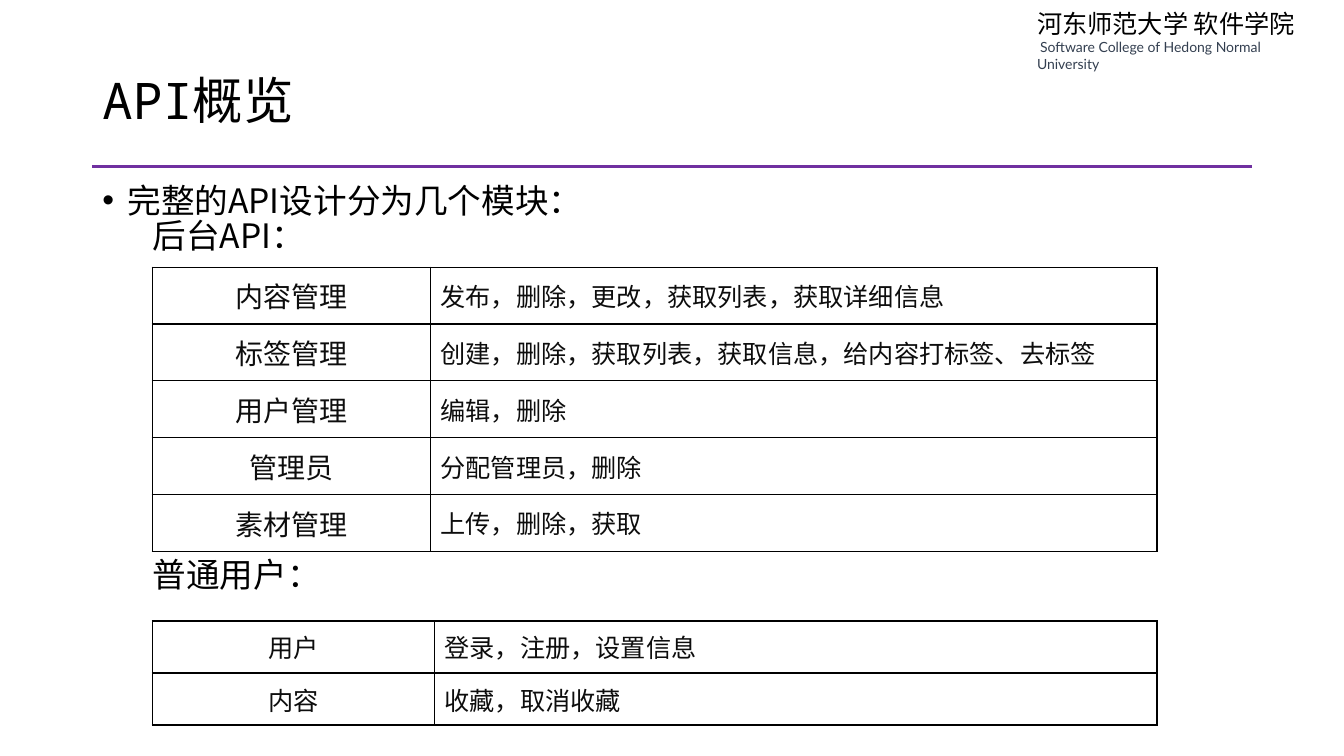
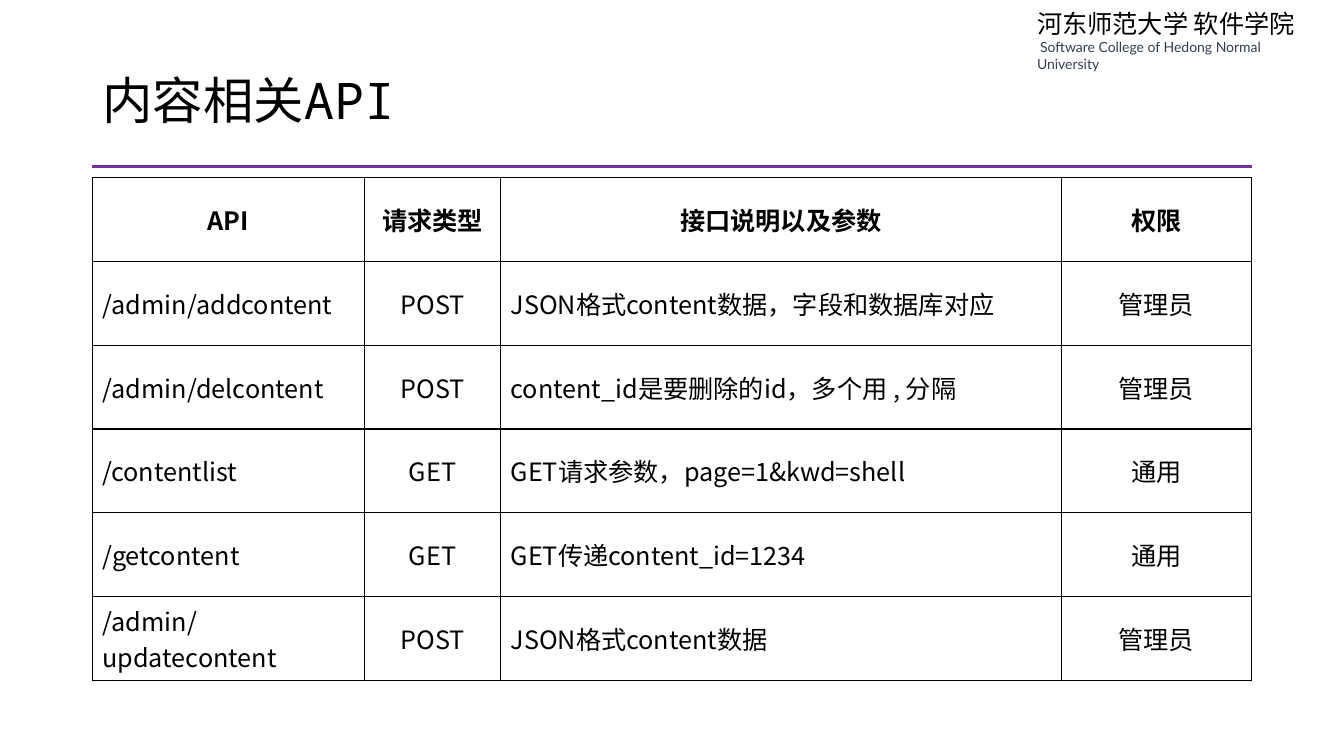
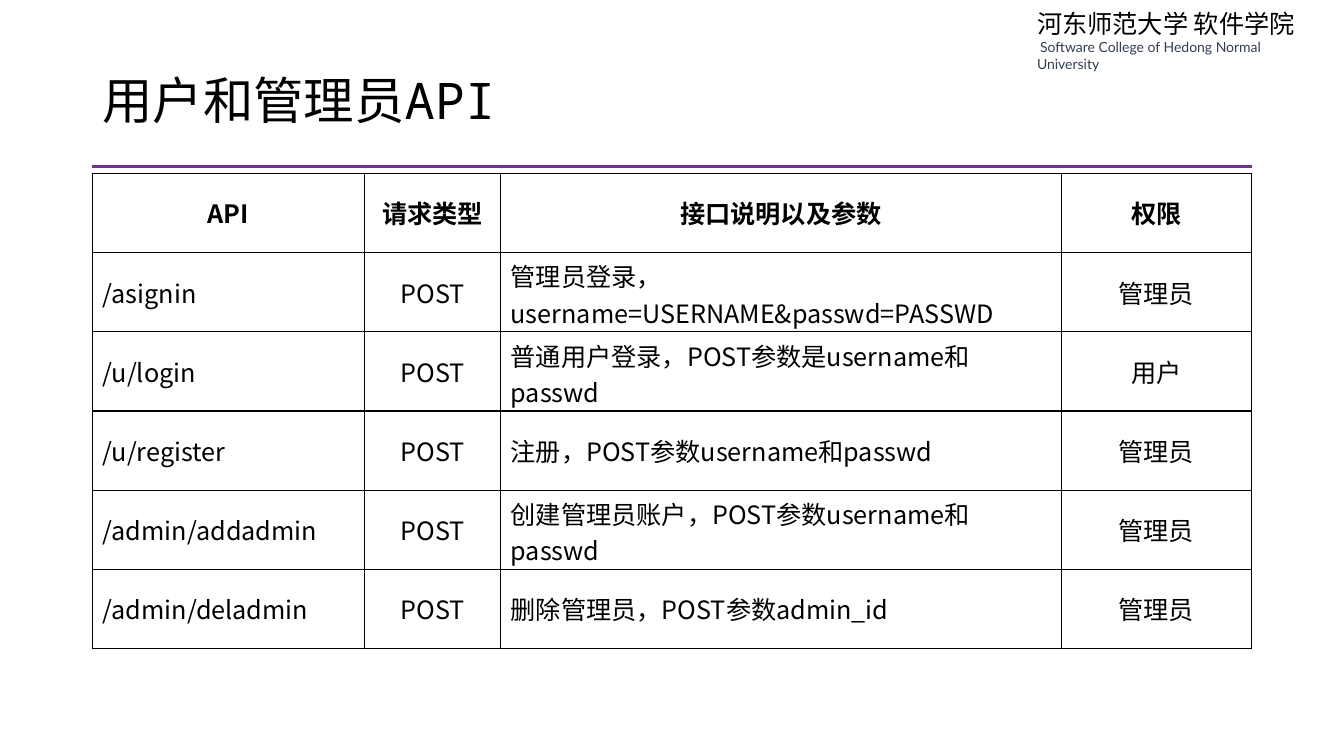
from lxml import etree
from pptx import Presentation
from pptx.dml.color import RGBColor
from pptx.enum.shapes import MSO_CONNECTOR
from pptx.enum.text import MSO_ANCHOR, PP_ALIGN
from pptx.oxml.ns import qn
from pptx.util import Pt

LINE = MSO_CONNECTOR.STRAIGHT
TOP, MIDDLE = MSO_ANCHOR.TOP, MSO_ANCHOR.MIDDLE
LEFT, CENTER = PP_ALIGN.LEFT, PP_ALIGN.CENTER

BLACK = RGBColor(0x00, 0x00, 0x00)
INK = RGBColor(0x0D, 0x0D, 0x0D)
SLATE = RGBColor(0x33, 0x3F, 0x50)
PURPLE = RGBColor(0x70, 0x30, 0xA0)

SANS, HEAD, MONO, LATO = "Noto Sans CJK SC", "Noto Sans CJK JP", "Noto Sans Mono", "Lato"

EDGE, WIDE = 66, 828
COLS = (194.4, 97.2, 400.4, 136)

SCHOOL = "河东师范大学 软件学院"
SCHOOL_EN = "Software College of Hedong Normal University"

# text, bullet, left indent, space before
POINTS = [
    ("完整的API设计分为几个模块：", True, 18, 0),
    ("后台API：", False, 36, 2.5),
    ("普通用户：", False, 36, 219),
]
ADMIN = [
    ("内容管理", "发布，删除，更改，获取列表，获取详细信息"),
    ("标签管理", "创建，删除，获取列表，获取信息，给内容打标签、去标签"),
    ("用户管理", "编辑，删除"),
    ("管理员", "分配管理员，删除"),
    ("素材管理", "上传，删除，获取"),
]
USER = [("用户", "登录，注册，设置信息"), ("内容", "收藏，取消收藏")]

FIELDS = ("API", "请求类型", "接口说明以及参数", "权限")
CONTENT = [
    ("/admin/addcontent", "POST", "JSON格式content数据，字段和数据库对应", "管理员"),
    ("/admin/delcontent", "POST", "content_id是要删除的id，多个用 , 分隔", "管理员"),
    ("/contentlist", "GET", "GET请求参数，page=1&kwd=shell", "通用"),
    ("/getcontent", "GET", "GET传递content_id=1234", "通用"),
    ("/admin/updatecontent", "POST", "JSON格式content数据", "管理员"),
]
ACCOUNT = [
    ("/asignin", "POST", "管理员登录，username=USERNAME&passwd=PASSWD", "管理员"),
    ("/u/login", "POST", "普通用户登录，POST参数是username和passwd", "用户"),
    ("/u/register", "POST", "注册，POST参数username和passwd", "管理员"),
    ("/admin/addadmin", "POST", "创建管理员账户，POST参数username和passwd", "管理员"),
    ("/admin/deladmin", "POST", "删除管理员，POST参数admin_id", "管理员"),
]


def add_run(para, text, size, font=SANS, color=BLACK, bold=False):
    """Append one run, with its font set for Latin and Chinese text."""
    run = para.add_run()
    run.text = text
    run.font.size = Pt(size)
    run.font.name = font
    run.font.bold = bold
    run.font.color.rgb = color
    props = run.font._element
    east = etree.Element(qn("a:ea"), typeface=font)
    props.find(qn("a:latin")).addnext(east)


def add_box(slide, left, top, width, height):
    """Add a wrapping text box and return its text frame."""
    frame = slide.shapes.add_textbox(Pt(left), Pt(top), Pt(width), Pt(height)).text_frame
    frame.word_wrap = True
    frame.vertical_anchor = TOP
    return frame


def add_page(deck, title):
    """Add a slide with the school name, the purple rule and a title."""
    slide = deck.slides.add_slide(deck.slide_layouts[6])
    name = add_box(slide, 733.7, 2.2, 216.7, 41)
    add_run(name.paragraphs[0], SCHOOL, 18, HEAD)
    second = name.add_paragraph()
    add_run(second, " ", 10, HEAD)
    add_run(second, SCHOOL_EN, 10, LATO, SLATE)

    rule = slide.shapes.add_connector(LINE, Pt(EDGE), Pt(118.8), Pt(EDGE + WIDE), Pt(118.8))
    rule.line.color.rgb = PURPLE
    rule.line.width = Pt(2.25)
    etree.SubElement(rule._element.spPr, qn("a:effectLst"))

    para = add_box(slide, EDGE, 54, WIDE, 58.3).paragraphs[0]
    para.line_spacing = 0.8
    add_run(para, title, 36, MONO)
    return slide


def add_points(slide, points):
    """Add the body text with its bullet and indents."""
    frame = add_box(slide, EDGE, 130.3, WIDE, 381.6)
    for i, (text, dot, indent, gap) in enumerate(points):
        para = frame.add_paragraph() if i else frame.paragraphs[0]
        para.line_spacing = 0.8
        para.space_before = Pt(gap)
        props = para._p.get_or_add_pPr()
        props.set("marL", str(Pt(indent)))
        if dot:
            props.set("indent", str(-Pt(indent)))
            etree.SubElement(props, qn("a:buFont"), typeface="Arial")
            etree.SubElement(props, qn("a:buChar"), char="•")
        add_run(para, text, 24)


def add_frame(cell):
    """Draw a thin black border on all four sides of a cell."""
    props = cell._tc.get_or_add_tcPr()
    for i, side in enumerate(("lnL", "lnR", "lnT", "lnB")):
        line = etree.Element(qn("a:" + side), w=str(Pt(1)))
        fill = etree.SubElement(line, qn("a:solidFill"))
        etree.SubElement(fill, qn("a:srgbClr"), val=str(BLACK))
        props.insert(i, line)


def add_grid(slide, rows, left, top, cols, high, sizes, mid, color=BLACK, head=False):
    """Add a bordered table; sizes go by column, mid lists centred columns."""
    grid = slide.shapes.add_table(len(rows), len(cols), Pt(left), Pt(top),
                                  Pt(sum(cols)), Pt(high * len(rows))).table
    grid.first_row = grid.horz_banding = False
    for col, width in zip(grid.columns, cols):
        col.width = Pt(width)
    for r, row in enumerate(rows):
        grid.rows[r].height = Pt(high)
        top_row = head and r == 0
        for c, text in enumerate(row):
            cell = grid.cell(r, c)
            cell.fill.background()
            cell.vertical_anchor = MIDDLE
            add_frame(cell)
            para = cell.text_frame.paragraphs[0]
            para.alignment = CENTER if top_row or c in mid else LEFT
            add_run(para, text, sizes[c], color=color, bold=top_row)


deck = Presentation()
deck.slide_width, deck.slide_height = Pt(960), Pt(540)

page = add_page(deck, "API概览")
add_points(page, POINTS)
add_grid(page, ADMIN, 108.7, 190.8, (198.7, 519.1), 40.6, (20, 18), (0,), INK)
add_grid(page, USER, 108.7, 443.5, (201.6, 516.2), 37.2, (18, 18), (0,), INK)

for title, rows, top, high in (("内容相关API", CONTENT, 126.7, 59.9),
                               ("用户和管理员API", ACCOUNT, 123.8, 56.6)):
    page = add_page(deck, title)
    add_grid(page, [FIELDS] + rows, EDGE, top, COLS, high, (18,) * 4, (1, 3), head=True)

deck.save("out.pptx")
